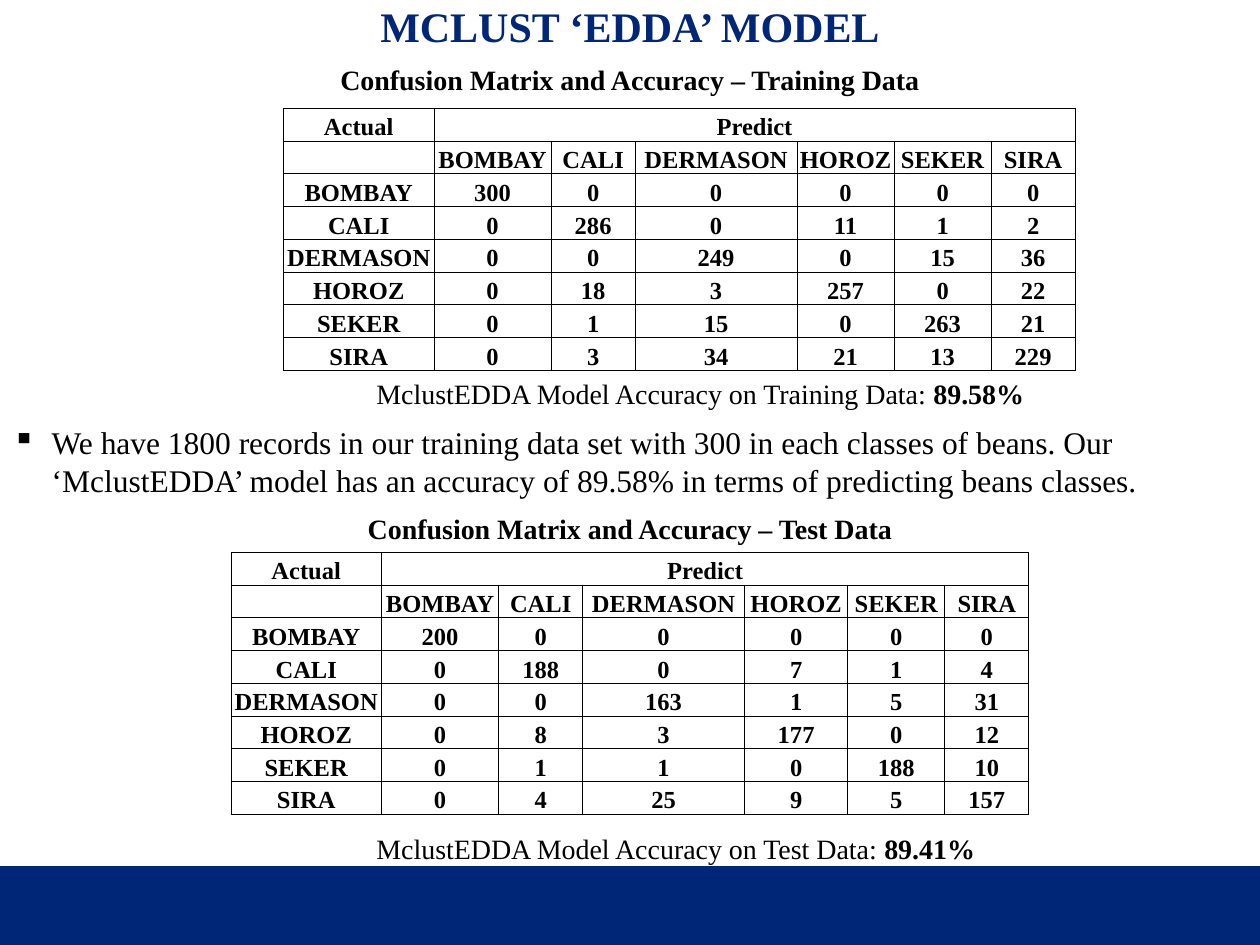
from lxml import etree
from pptx import Presentation
from pptx.dml.color import RGBColor
from pptx.enum import shapes, text
from pptx.oxml import ns
from pptx.util import Pt

COLORS = {"navy": "002678", "black": "000000"}
FONT = "Times New Roman"
BEANS = ["BOMBAY", "CALI", "DERMASON", "HOROZ", "SEKER", "SIRA"]

deck = Presentation()
deck.slide_width, deck.slide_height = Pt(720), Pt(540)
slide = deck.slides.add_slide(deck.slide_layouts[6])


def style(paragraph, size, bold=None, color="black", align=None):
    paragraph.alignment = align
    font = paragraph.font
    font.name, font.size, font.bold = FONT, Pt(size), bold
    font.color.rgb = RGBColor.from_string(COLORS[color])


def add_text(left, top, width, height, words, size, bold=None, color="black", align=None):
    frame = slide.shapes.add_textbox(Pt(left), Pt(top), Pt(width), Pt(height)).text_frame
    frame.word_wrap = True
    paragraph = frame.paragraphs[0]
    paragraph.add_run().text = words
    style(paragraph, size, bold, color, align)
    return paragraph


footer = slide.shapes.add_shape(shapes.MSO_SHAPE.RECTANGLE, Pt(0), Pt(495), Pt(720), Pt(45))
footer.shadow.inherit = False
footer.fill.solid()
footer.fill.fore_color.rgb = RGBColor.from_string(COLORS["navy"])
footer.line.fill.background()

title = add_text(0, 0, 720, 31.5, "MCLUST ‘EDDA’ MODEL", 24, True, "navy", text.PP_ALIGN.CENTER)
title.line_spacing = 0.9

remark = add_text(
    0, 238.3, 720, 51,
    "We have 1800 records in our training data set with 300 in each classes of beans. "
    "Our ‘MclustEDDA’ model has an accuracy of 89.58% in terms of predicting beans classes.",
    18,
)
remark_format = remark._p.get_or_add_pPr()
remark_format.set("marL", str(Pt(22.5)))
remark_format.set("indent", str(-Pt(22.5)))
bullet = etree.Element(ns.qn("a:buChar"), char="▪")
remark_format.insert(0, bullet)

datasets = [
    {
        "name": "Training", "accuracy": "89.58%", "heading_top": 32.4, "accuracy_top": 211.7,
        "left": 162, "top": 61.9, "horoz_width": 55.5,
        "counts": [
            [300, 0, 0, 0, 0, 0],
            [0, 286, 0, 11, 1, 2],
            [0, 0, 249, 0, 15, 36],
            [0, 18, 3, 257, 0, 22],
            [0, 1, 15, 0, 263, 21],
            [0, 3, 34, 21, 13, 229],
        ],
    },
    {
        "name": "Test", "accuracy": "89.41%", "heading_top": 288.7, "accuracy_top": 471.9,
        "left": 132, "top": 315.6, "horoz_width": 59,
        "counts": [
            [200, 0, 0, 0, 0, 0],
            [0, 188, 0, 7, 1, 4],
            [0, 0, 163, 1, 5, 31],
            [0, 8, 3, 177, 0, 12],
            [0, 1, 1, 0, 188, 10],
            [0, 4, 25, 9, 5, 157],
        ],
    },
]

for dataset in datasets:
    add_text(0, dataset["heading_top"], 720, 26.6,
             f"Confusion Matrix and Accuracy – {dataset['name']} Data",
             16, True, align=text.PP_ALIGN.CENTER)
    accuracy = add_text(208, dataset["accuracy_top"], 390, 26.6,
                        f"MclustEDDA Model Accuracy on {dataset['name']} Data: ", 16)
    percentage = accuracy.add_run()
    percentage.text = dataset["accuracy"]
    percentage.font.bold = True

    widths = [86, 67, 48, 92.5, dataset["horoz_width"], 55.5, 48]
    rows = [["Actual", "Predict"] + [""] * 5, [""] + BEANS]
    rows += [[bean] + counts for bean, counts in zip(BEANS, dataset["counts"])]
    matrix = slide.shapes.add_table(
        len(rows), len(widths), Pt(dataset["left"]), Pt(dataset["top"]),
        Pt(sum(widths)), Pt(18.72 * len(rows))).table
    matrix.first_row = matrix.horz_banding = False
    for column, width in zip(matrix.columns, widths):
        column.width = Pt(width)
    matrix.cell(0, 1).merge(matrix.cell(0, 6))

    for row_index, row in enumerate(rows):
        for column_index, value in enumerate(row):
            cell = matrix.cell(row_index, column_index)
            cell.margin_left = cell.margin_right = cell.margin_top = Pt(0.6)
            cell.margin_bottom = Pt(0)
            cell.vertical_anchor = text.MSO_ANCHOR.BOTTOM
            entry = cell.text_frame.paragraphs[0]
            if value != "":
                entry.add_run().text = str(value)
            style(entry, 14, True, align=text.PP_ALIGN.CENTER)
            cell_format = cell._tc.get_or_add_tcPr()
            for side in ("lnL", "lnR", "lnT", "lnB"):
                border = etree.SubElement(cell_format, ns.qn(f"a:{side}"), w=str(Pt(0.5)))
                border_fill = etree.SubElement(border, ns.qn("a:solidFill"))
                etree.SubElement(border_fill, ns.qn("a:srgbClr"), val=COLORS["black"])
            cell.fill.background()

deck.save("out.pptx")
